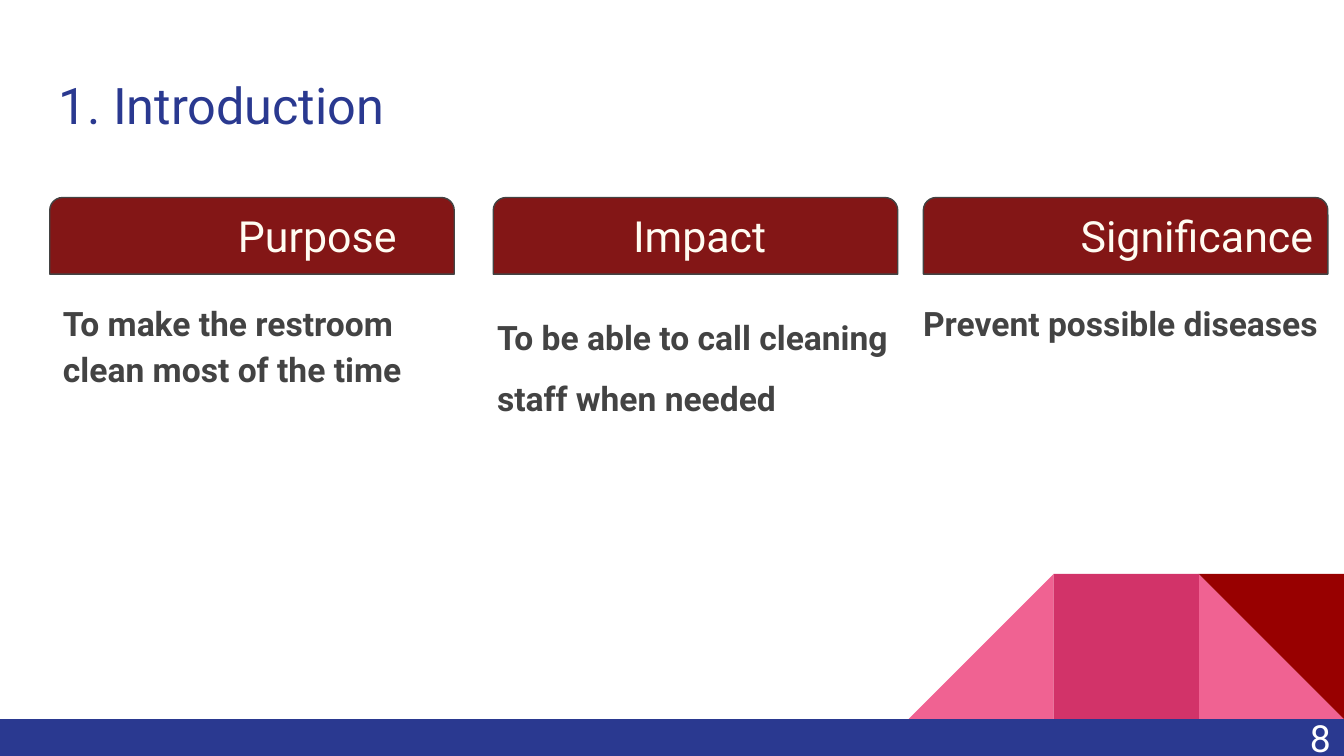
from pptx import Presentation
from pptx.dml.color import RGBColor
from pptx.enum.shapes import MSO_SHAPE
from pptx.enum.text import MSO_ANCHOR, PP_ALIGN
from pptx.util import Inches, Pt

RECTANGLE = MSO_SHAPE.RECTANGLE
TRIANGLE = MSO_SHAPE.RIGHT_TRIANGLE
HEADER_SHAPE = MSO_SHAPE.ROUND_2_SAME_RECTANGLE
TOP, MIDDLE = MSO_ANCHOR.TOP, MSO_ANCHOR.MIDDLE
LEFT, RIGHT = PP_ALIGN.LEFT, PP_ALIGN.RIGHT

WHITE = RGBColor(0xFF, 0xFF, 0xFF)
CREAM = RGBColor(0xFF, 0xFC, 0xF2)
NAVY = RGBColor(0x2A, 0x39, 0x90)
GRAY = RGBColor(0x43, 0x43, 0x43)
MAROON = RGBColor(0x83, 0x16, 0x16)
RED = RGBColor(0x98, 0x00, 0x00)
PINK = RGBColor(0xF0, 0x62, 0x92)
ROSE = RGBColor(0xD2, 0x33, 0x69)

FONT = "Roboto"
PADDING = 0.1
SLIDE_WIDTH = 10
SLIDE_HEIGHT = SLIDE_WIDTH * 9 / 16


def add_box(slide, kind, box, fill, rotation=0):
    shape = slide.shapes.add_shape(kind, *map(Inches, box))
    shape.shadow.inherit = False
    shape.fill.solid()
    shape.fill.fore_color.rgb = fill
    shape.line.fill.background()
    shape.rotation = rotation
    return shape


def add_text(slide, box, text, size, color, bold=False, indent=0,
             anchor=TOP, alignment=LEFT, line_spacing=1):
    text_box = slide.shapes.add_textbox(*map(Inches, box))
    frame = text_box.text_frame
    frame.word_wrap = True
    frame.vertical_anchor = anchor
    frame.margin_left = Inches(PADDING + indent)
    frame.margin_right = frame.margin_top = frame.margin_bottom = Inches(PADDING)
    frame.text = text
    paragraph = frame.paragraphs[0]
    paragraph.alignment = alignment
    paragraph.line_spacing = line_spacing
    font = paragraph.runs[0].font
    font.name = FONT
    font.size = Pt(size)
    font.bold = bold
    font.color.rgb = color


def add_decoration(slide, left, top, side):
    tiles = [
        (2, TRIANGLE, PINK, 0),
        (0, TRIANGLE, PINK, 270),
        (1, RECTANGLE, ROSE, 0),
        (2, TRIANGLE, RED, 180),
    ]
    for column, kind, color, rotation in tiles:
        box = (left + column * side, top, side, side)
        add_box(slide, kind, box, color, rotation)


def add_footer(slide, left, top, width, height):
    add_box(slide, RECTANGLE, (left, top, width, height), NAVY)
    number_box = (left + width - 0.6, top - 0.08, 0.6, 0.43)
    add_text(slide, number_box, "8", 20, WHITE, anchor=MIDDLE, alignment=RIGHT)


def add_column(slide, left, top, header, body):
    shape = add_box(slide, HEADER_SHAPE, (left, top, 3.01, 0.57), MAROON)
    shape.line.color.rgb = GRAY
    shape.line.width = Pt(0.75)
    title, offset, width, indent = header
    title_box = (left + offset, top - 0.01, width, 0.59)
    add_text(slide, title_box, title, 23, CREAM, indent=indent)
    text, offset, width, height, line_spacing = body
    body_box = (left + offset, top + 0.64, width, height)
    add_text(slide, body_box, text, 18, GRAY, bold=True, line_spacing=line_spacing)


def main():
    presentation = Presentation()
    presentation.slide_width = Inches(SLIDE_WIDTH)
    presentation.slide_height = Inches(SLIDE_HEIGHT)
    slide = presentation.slides.add_slide(presentation.slide_layouts[6])

    add_decoration(slide, 6.76, 4.27, 1.08)
    add_footer(slide, 0, 5.35, SLIDE_WIDTH, SLIDE_HEIGHT - 5.35)
    add_text(slide, (0.34, 0.45, 9.32, 0.66), "1. Introduction", 27, NAVY)

    columns = [
        (0.37, ("Purpose", 0.3, 2.41, 1),
         ("To make the restroom clean most of the time", 0, 2.99, 2.32, 1.15)),
        (3.67, ("Impact", 0.31, 2.41, 0.63),
         ("To be able to call cleaning staff when needed", -0.07, 3.27, 2.32, 1.5)),
        (6.87, ("Significance", 0.07, 3.12, 1),
         ("Prevent possible diseases", -0.1, 3.2, 0.5, 1.15)),
    ]
    for left, header, body in columns:
        add_column(slide, left, 1.47, header, body)

    presentation.save("out.pptx")


if __name__ == "__main__":
    main()
